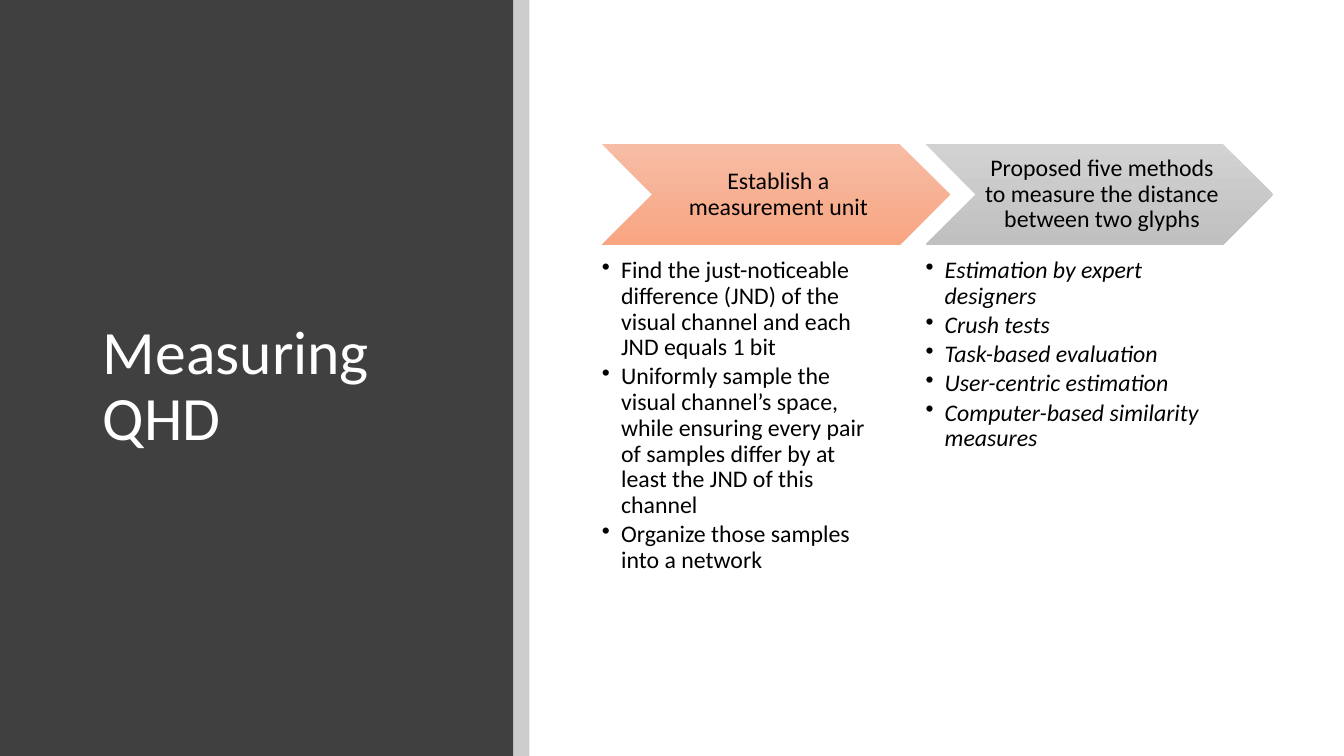
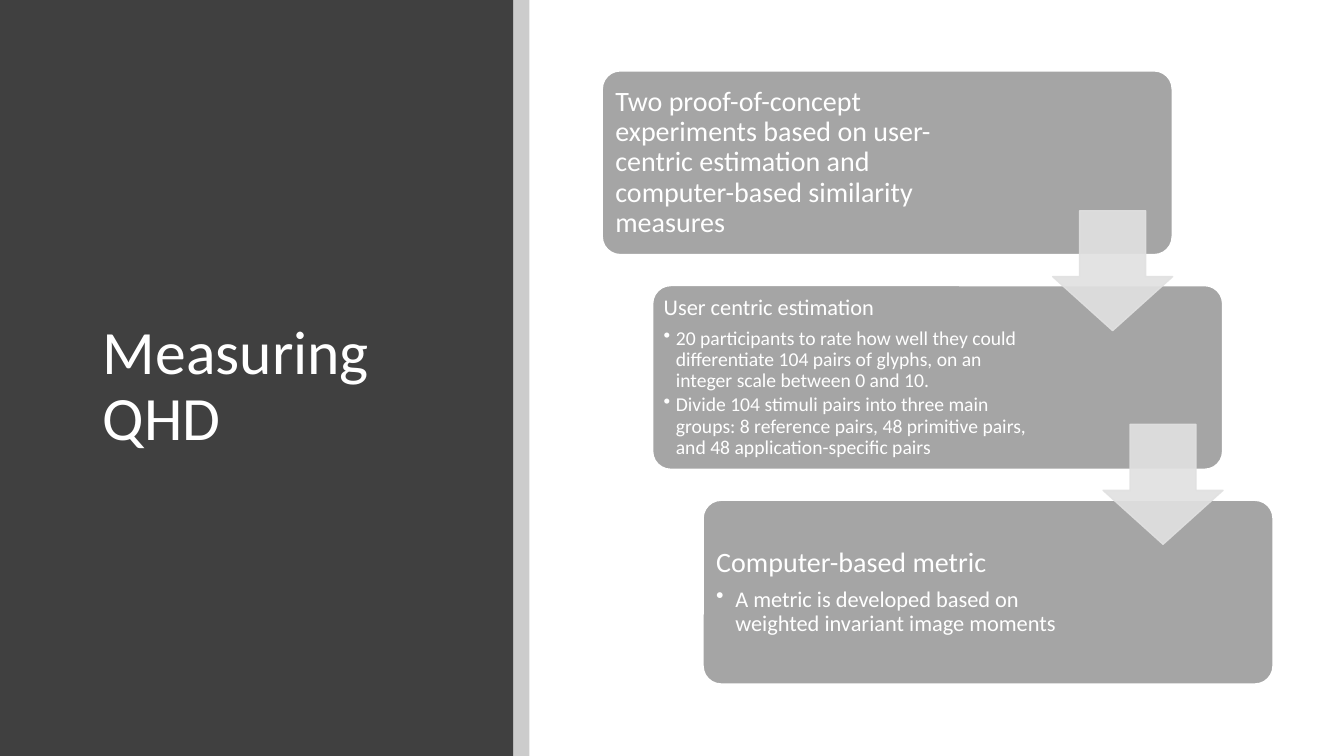
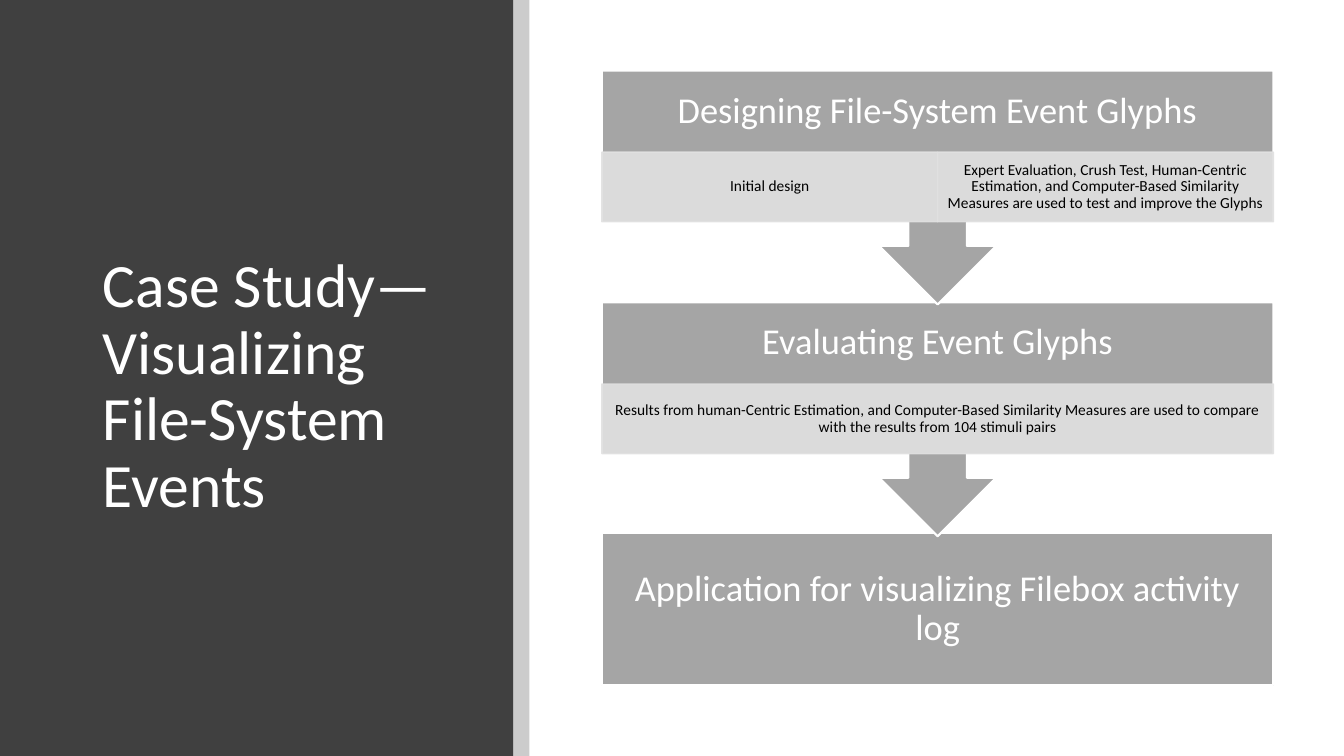
"""Build three slides on measuring QHD and the file-system event case study."""
from dataclasses import dataclass

from lxml.etree import SubElement
from pptx import Presentation
from pptx.dml.color import RGBColor
from pptx.enum.shapes import MSO_SHAPE as Shape
from pptx.enum.text import MSO_ANCHOR as Anchor, PP_ALIGN as Align
from pptx.oxml.ns import qn
from pptx.util import Inches, Pt


@dataclass(frozen=True)
class Theme:
    font: str = "Calibri"
    panel: str = "404040"
    black: str = "000000"
    white: str = "FFFFFF"
    gray: str = "A5A5A5"
    pale: str = "E1E1E1"
    orange_fade: tuple = ("F7BDA5", "F8A582")
    gray_fade: tuple = ("D2D2D2", "C0C0C0")
    title: int = 44
    stage: int = 26
    heading: int = 20
    step: int = 17
    body: int = 16
    detail: int = 14
    small: int = 11


THEME = Theme()
LEFT, TOP, WIDTH = 5.97, 0.7, 6.66


def add_text(frame, text, size, color=THEME.black, align=Align.LEFT, italic=False, bullet=0, after=0.35):
    first = frame.paragraphs[0]
    para = frame.add_paragraph() if first.runs else first
    if bullet:
        props = para._p.get_or_add_pPr()
        props.set("marL", str(Inches(bullet)))
        props.set("indent", str(-Inches(bullet)))
        SubElement(props, qn("a:buChar")).set("char", "•")
        after = 0.15
    para.alignment = align
    para.line_spacing = 0.9
    para.space_after = Pt(round(size * after, 1))
    span = para.add_run()
    span.text = text
    span.font.name, span.font.size, span.font.italic = THEME.font, Pt(size), italic
    span.font.color.rgb = RGBColor.from_string(color)


def set_frame(frame, insets, anchor=Anchor.MIDDLE):
    frame.word_wrap = True
    frame.vertical_anchor = anchor
    frame.margin_left, frame.margin_top, frame.margin_right, frame.margin_bottom = map(Inches, insets)
    return frame


class Deck:
    def __init__(self):
        self.deck = Presentation()
        self.deck.slide_width, self.deck.slide_height = Inches(13.33), Inches(7.5)
        self.page = None

    def shape(self, kind, at, fill, line=None, weight=1.5, alpha=None, adjust=()):
        box = self.page.shapes.add_shape(kind, *map(Inches, at))
        box.shadow.inherit = False
        for index, value in enumerate(adjust):
            box.adjustments[index] = value
        if isinstance(fill, tuple):
            box.fill.gradient()
            box.fill.gradient_angle = 270
            for stop, color in zip(box.fill.gradient_stops, fill):
                stop.color.rgb = RGBColor.from_string(color)
        else:
            box.fill.solid()
            box.fill.fore_color.rgb = RGBColor.from_string(fill)
        if line:
            box.line.color.rgb = RGBColor.from_string(line)
            box.line.width = Pt(weight)
        else:
            box.line.fill.background()
        if alpha:
            for color in box._element.spPr.iter(qn("a:srgbClr")):
                SubElement(color, qn("a:alpha")).set("val", str(alpha * 1000))
        return box

    def start(self, title):
        self.page = self.deck.slides.add_slide(self.deck.slide_layouts[5])
        self.shape(Shape.RECTANGLE, (0, 0, 5.09, 7.5), THEME.panel)
        self.shape(Shape.RECTANGLE, (5.09, 0, 0.16, 7.5), THEME.black, alpha=20)
        box = self.page.shapes.title
        box._element.getparent().append(box._element)
        box.left, box.top, box.width, box.height = map(Inches, (0.92, 0.89, 3.65, 5.91))
        frame = set_frame(box.text_frame, (0.1, 0.05, 0.1, 0.05))
        add_text(frame, title, THEME.title, THEME.white, after=0)

    def chevron(self, left, fade, heading, points, italic):
        box = self.shape(Shape.CHEVRON, (left, 1.43, 3.45, 1), fade)
        frame = set_frame(box.text_frame, (0.07, 0.02, 0.02, 0.02))
        add_text(frame, heading, THEME.step, align=Align.CENTER)
        notes = self.page.shapes.add_textbox(*map(Inches, (left, 2.56, 2.76, 3.51)))
        frame = set_frame(notes.text_frame, (0, 0, 0, 0), Anchor.TOP)
        for point in points:
            add_text(frame, point, THEME.step, italic=italic, bullet=0.19)

    def card(self, left, top, heading, points, sizes, inset, right, indent):
        box = self.shape(Shape.ROUNDED_RECTANGLE, (left, top, 5.66, 1.83), THEME.gray,
                         THEME.white, adjust=(0.1,))
        frame = set_frame(box.text_frame, (inset, inset, right, inset))
        add_text(frame, heading, sizes[0], THEME.white)
        for point in points:
            add_text(frame, point, sizes[1], THEME.white, bullet=indent)

    def arrow(self, left, top):
        self.shape(Shape.DOWN_ARROW, (left, top, 1.19, 1.19), THEME.pale, THEME.pale, 1,
                   alpha=90, adjust=(0.55, 0.45))

    def stage(self, kind, top, height, heading, bottom=0.2):
        box = self.shape(kind, (LEFT, top, WIDTH, height), THEME.gray, THEME.white)
        frame = set_frame(box.text_frame, (0.2, 0.2, 0.2, bottom))
        add_text(frame, heading, THEME.stage, THEME.white, Align.CENTER)

    def details(self, top, texts):
        width = WIDTH / len(texts)
        for index, text in enumerate(texts):
            box = self.shape(Shape.RECTANGLE, (LEFT + index * width, top, width, 0.69),
                             THEME.pale, THEME.pale, 1, alpha=90)
            frame = set_frame(box.text_frame, (0.09, 0.02, 0.09, 0.02))
            add_text(frame, text, THEME.small, align=Align.CENTER)


def add_methods(deck):
    deck.start("Measuring QHD")
    columns = (
        (THEME.orange_fade, "Establish a measurement unit",
         ("Find the just-noticeable difference (JND) of the visual channel and each JND equals 1 bit",
          "Uniformly sample the visual channel’s space, while ensuring every pair of samples differ "
          "by at least the JND of this channel",
          "Organize those samples into a network"), False),
        (THEME.gray_fade, "Proposed five methods to measure the distance between two glyphs",
         ("Estimation by expert designers", "Crush tests", "Task-based evaluation",
          "User-centric estimation", "Computer-based similarity measures"), True),
    )
    for index, column in enumerate(columns):
        deck.chevron(LEFT + index * 3.21, *column)


def add_experiments(deck):
    deck.start("Measuring QHD")
    large, compact = (THEME.heading, THEME.body), (THEME.body, THEME.detail)
    cards = (
        ("Two proof-of-concept experiments based on user-centric estimation and "
         "computer-based similarity measures", (), large, 0.08, 1.94, 0.19),
        ("User centric estimation",
         ("20 participants to rate how well they could differentiate 104 pairs of glyphs, "
          "on an integer scale between 0 and 10.",
          "Divide 104 stimuli pairs into three main groups: 8 reference pairs, "
          "48 primitive pairs, and 48 application-specific pairs"), compact, 0.06, 1.74, 0.12),
        ("Computer-based metric",
         ("A metric is developed based on weighted invariant image moments",),
         large, 0.08, 1.76, 0.19),
    )
    for index, card in enumerate(cards):
        deck.card(LEFT + index * 0.5, TOP + index * 2.13, *card)
    for index in range(len(cards) - 1):
        deck.arrow(10.44 + index * 0.5, 2.09 + index * 2.12)


def add_case_study(deck):
    deck.start("Case Study—Visualizing File-System Events")
    deck.stage(Shape.RECTANGLE, 5.29, 1.51, "Application for visualizing Filebox activity log")
    stages = (
        (3, "Evaluating Event Glyphs",
         ("Results from human-Centric Estimation, and Computer-Based Similarity Measures "
          "are used to compare with the results from 104 stimuli pairs",)),
        (TOP, "Designing File-System Event Glyphs",
         ("Initial design",
          "Expert Evaluation, Crush Test, Human-Centric Estimation, and Computer-Based "
          "Similarity Measures are used to test and improve the Glyphs")),
    )
    for top, heading, texts in stages:
        deck.stage(Shape.DOWN_ARROW_CALLOUT, top, 2.32, heading, bottom=0.9)
        deck.details(top + 0.81, texts)


def main():
    deck = Deck()
    add_methods(deck)
    add_experiments(deck)
    add_case_study(deck)
    deck.deck.save("out.pptx")


if __name__ == "__main__":
    main()
